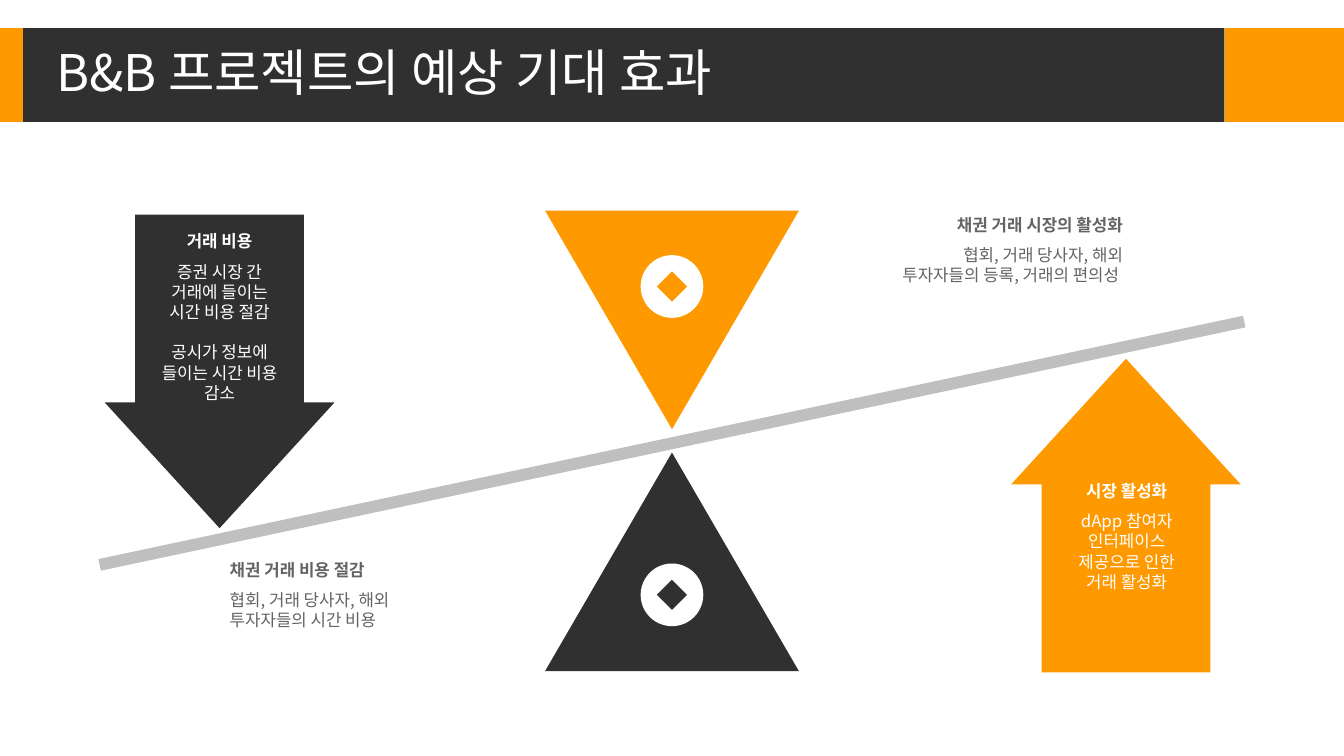
from dataclasses import dataclass

from pptx import Presentation
from pptx.dml.color import RGBColor
from pptx.enum.shapes import MSO_SHAPE
from pptx.enum.text import MSO_ANCHOR, PP_ALIGN
from pptx.oxml.ns import qn
from pptx.slide import Slide
from pptx.util import Cm, Pt
from lxml.etree import SubElement


@dataclass(frozen=True)
class Theme:
    dark: str = "303030"
    orange: str = "FE9900"
    beam: str = "BFBFBF"
    grey: str = "646464"
    white: str = "FFFFFF"
    title_size: float = 36
    text_size: float = 12
    line_gap: float = 14.5
    font: str = "Noto Sans CJK KR"
    latin_font: str = "Arial"


THEME = Theme()


@dataclass(frozen=True)
class Box:
    left: float
    top: float
    width: float
    height: float


@dataclass(frozen=True)
class Figure:
    kind: MSO_SHAPE
    box: Box
    color: str
    rotation: float = 0
    adjustments: tuple[float, ...] = ()


@dataclass(frozen=True)
class Caption:
    left: float
    top: float
    width: float
    body_height: float
    heading: str
    body: tuple[str, ...]
    color: str
    align: PP_ALIGN
    body_inset: float = 0
    heading_font: str = THEME.font


HEADING_HEIGHT = 0.76
SLIDE_WIDTH, SLIDE_HEIGHT = 33.87, 19.05
CENTER = SLIDE_WIDTH / 2
BAND_TOP, BAND_HEIGHT = 0.71, 2.36
BAND_END = 30.86
TRIANGLE_WIDTH, TRIANGLE_HEIGHT = 6.4, 5.51
ARROW_WIDTH, ARROW_HEIGHT = 5.79, 7.9
ARROW_ADJUSTMENTS = (0.735, 0.547)
DISC_SIZE, EMBLEM_SIZE = 1.58, 0.76


def centered(middle: float, width: float, height: float) -> Box:
    return Box(CENTER - width / 2, middle - height / 2, width, height)


def band(left: float, right: float, color: str) -> Figure:
    return Figure(MSO_SHAPE.RECTANGLE, Box(left, BAND_TOP, right - left, BAND_HEIGHT), color)


def arrow(left: float, top: float, color: str, rotation: float = 0) -> Figure:
    box = Box(left, top, ARROW_WIDTH, ARROW_HEIGHT)
    return Figure(MSO_SHAPE.DOWN_ARROW, box, color, rotation, ARROW_ADJUSTMENTS)


def weight(middle: float, disc_middle: float, color: str, rotation: float = 0) -> list[Figure]:
    return [
        Figure(MSO_SHAPE.ISOSCELES_TRIANGLE, centered(middle, TRIANGLE_WIDTH, TRIANGLE_HEIGHT), color, rotation),
        Figure(MSO_SHAPE.OVAL, centered(disc_middle, DISC_SIZE, DISC_SIZE), THEME.white),
        Figure(MSO_SHAPE.DIAMOND, centered(disc_middle, EMBLEM_SIZE, EMBLEM_SIZE), color),
    ]


FIGURES = [
    band(BAND_END, SLIDE_WIDTH, THEME.orange),
    band(0, BAND_END, THEME.dark),
    band(0, 0.58, THEME.orange),
    arrow(25.48, 9.04, THEME.orange, 180),
    Figure(MSO_SHAPE.RECTANGLE, centered(11.17, 29.49, 0.3), THEME.beam, 348),
    arrow(2.64, 5.41, THEME.dark),
    *weight(14.16, 14.99, THEME.dark),
    *weight(8.06, 7.22, THEME.orange, 180),
]

CAPTIONS = [
    Caption(3.73, 5.7, 3.61, 3.84, "거래 비용",
            ("증권 시장 간 거래에 들이는 시간 비용 절감", "공시가 정보에 들이는 시간 비용 감소"),
            THEME.white, PP_ALIGN.CENTER, 0.03),
    Caption(26.59, 11.99, 3.61, 2.31, "시장 활성화",
            ("dApp 참여자 인터페이스 제공으로 인한 거래 활성화",),
            THEME.white, PP_ALIGN.CENTER, 0.03),
    Caption(22.33, 5.29, 6.22, 1.27, "채권 거래 시장의 활성화",
            ("협회, 거래 당사자, 해외 투자자들의 등록, 거래의 편의성 ",),
            THEME.grey, PP_ALIGN.RIGHT),
    Caption(5.54, 13.97, 6.22, 1.27, "채권 거래 비용 절감",
            ("협회, 거래 당사자, 해외 투자자들의 시간 비용",),
            THEME.grey, PP_ALIGN.LEFT, heading_font=THEME.latin_font),
]


def lengths(box: Box) -> tuple[Cm, Cm, Cm, Cm]:
    return Cm(box.left), Cm(box.top), Cm(box.width), Cm(box.height)


def apply_format(target: object, values: dict[str, object]) -> None:
    for key, value in values.items():
        setattr(target, key, value)


def draw_figure(slide: Slide, figure: Figure) -> None:
    shape = slide.shapes.add_shape(figure.kind, *lengths(figure.box))
    shape.shadow.inherit = False
    shape.rotation = figure.rotation
    shape.fill.solid()
    shape.fill.fore_color.rgb = RGBColor.from_string(figure.color)
    shape.line.fill.background()
    for index, value in enumerate(figure.adjustments):
        shape.adjustments[index] = value


def draw_text(slide: Slide, box: Box, texts: tuple[str, ...], color: str,
              font_format: dict[str, object], paragraph_format: dict[str, object],
              anchor: MSO_ANCHOR = MSO_ANCHOR.TOP) -> None:
    frame = slide.shapes.add_textbox(*lengths(box)).text_frame
    apply_format(frame, {"word_wrap": True, "vertical_anchor": anchor})
    for index, text in enumerate(texts):
        paragraph = frame.add_paragraph() if index else frame.paragraphs[0]
        if index:
            paragraph.space_before = Pt(THEME.line_gap)
        apply_format(paragraph, paragraph_format)
        run = paragraph.add_run()
        run.text = text
        apply_format(run.font, font_format)
        run.font.color.rgb = RGBColor.from_string(color)
        SubElement(run.font._element, qn("a:ea"), typeface=THEME.font)


def draw_caption(slide: Slide, caption: Caption) -> None:
    heading_box = Box(caption.left, caption.top, caption.width, HEADING_HEIGHT)
    body_box = Box(caption.left + caption.body_inset, caption.top + HEADING_HEIGHT,
                   caption.width - 2 * caption.body_inset, caption.body_height)
    paragraph_format = {"alignment": caption.align}
    size = Pt(THEME.text_size)
    draw_text(slide, body_box, caption.body, caption.color,
              {"size": size, "name": THEME.font}, paragraph_format)
    draw_text(slide, heading_box, (caption.heading,), caption.color,
              {"size": size, "name": caption.heading_font, "bold": True}, paragraph_format)


def main() -> None:
    presentation = Presentation()
    apply_format(presentation, {"slide_width": Cm(SLIDE_WIDTH), "slide_height": Cm(SLIDE_HEIGHT)})
    slide = presentation.slides.add_slide(presentation.slide_layouts[6])
    for figure in FIGURES:
        draw_figure(slide, figure)
    draw_text(slide, Box(1.17, 0.89, 24.64, 2.01), ("B&B 프로젝트의 예상 기대 효과",), THEME.white,
              {"size": Pt(THEME.title_size), "name": THEME.font},
              {"line_spacing": 0.9, "space_before": Pt(10)}, MSO_ANCHOR.MIDDLE)
    for caption in CAPTIONS:
        draw_caption(slide, caption)
    presentation.save("out.pptx")


if __name__ == "__main__":
    main()
